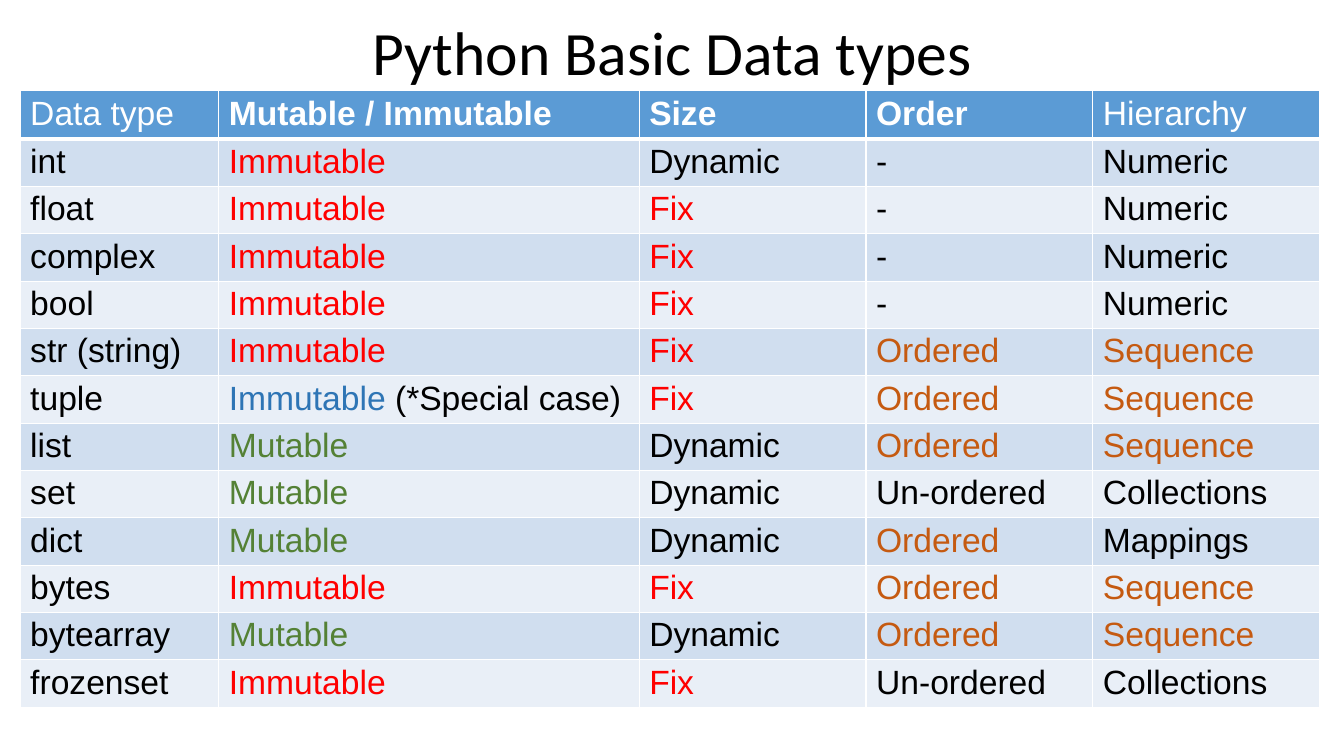
from lxml.etree import SubElement
from pptx import Presentation
from pptx.dml.color import RGBColor
from pptx.enum.text import MSO_ANCHOR, MSO_AUTO_SIZE, PP_ALIGN
from pptx.oxml.ns import qn
from pptx.util import Inches, Pt

COLORS = {
    "header": "5B9BD5", "odd": "D0DEEF", "even": "E9EFF7",
    "white": "FFFFFF", "black": "000000", "red": "FF0000",
    "green": "548135", "orange": "C55A11", "blue": "2E75B5",
}
WORD_COLORS = {
    "Immutable": "red", "Fix": "red", "Mutable": "green",
    "Ordered": "orange", "Sequence": "orange",
}
HEADERS = ["Data type", "Mutable / Immutable", "Size", "Order", "Hierarchy"]
BOLD_HEADERS = HEADERS[1:4]
SPECIAL_CASE = " (*Special case)"
DATA_TYPES = [
    ["int", "Immutable", "Dynamic", "-", "Numeric"],
    ["float", "Immutable", "Fix", "-", "Numeric"],
    ["complex", "Immutable", "Fix", "-", "Numeric"],
    ["bool", "Immutable", "Fix", "-", "Numeric"],
    ["str (string)", "Immutable", "Fix", "Ordered", "Sequence"],
    ["tuple", "Immutable" + SPECIAL_CASE, "Fix", "Ordered", "Sequence"],
    ["list", "Mutable", "Dynamic", "Ordered", "Sequence"],
    ["set", "Mutable", "Dynamic", "Un-ordered", "Collections"],
    ["dict", "Mutable", "Dynamic", "Ordered", "Mappings"],
    ["bytes", "Immutable", "Fix", "Ordered", "Sequence"],
    ["bytearray", "Mutable", "Dynamic", "Ordered", "Sequence"],
    ["frozenset", "Immutable", "Fix", "Un-ordered", "Collections"],
]
COLUMN_WIDTHS = [1.97, 4.17, 2.25, 2.25, 2.25]
HEADER_HEIGHT = 0.48
ROW_HEIGHT = 0.47


def apply_format(target, values):
    for name, value in values.items():
        setattr(target, name, value)


def add_run(paragraph, text, color, **font_values):
    run = paragraph.add_run()
    run.text = text
    apply_format(run.font, font_values)
    run.font.color.rgb = RGBColor.from_string(COLORS[color])


def add_borders(cell, top, bottom):
    properties = cell._tc.get_or_add_tcPr()
    for side, width in {"L": 1, "R": 1, "T": top, "B": bottom}.items():
        line = SubElement(properties, qn(f"a:ln{side}"), w=str(Pt(width)))
        fill = SubElement(line, qn("a:solidFill"))
        SubElement(fill, qn("a:srgbClr"), val=COLORS["white"])


def fill_cell(cell, runs, fill, top=1, bottom=1):
    add_borders(cell, top, bottom)
    cell.fill.solid()
    cell.fill.fore_color.rgb = RGBColor.from_string(COLORS[fill])
    apply_format(cell, {
        "margin_left": Inches(0.1), "margin_right": Inches(0.1),
        "margin_top": Inches(0.04), "margin_bottom": Inches(0.04),
    })
    for text, color, bold in runs:
        add_run(cell.text_frame.paragraphs[0], text, color,
                name="Arial", size=Pt(24), bold=bold)


def body_runs(text):
    if text.endswith(SPECIAL_CASE):
        return [(text.removesuffix(SPECIAL_CASE), "blue", False),
                (SPECIAL_CASE, "black", False)]
    return [(text, WORD_COLORS.get(text, "black"), False)]


def place_title(slide, left, top, width, height):
    title = slide.shapes.title
    apply_format(title, {
        "left": Inches(left), "top": Inches(top),
        "width": Inches(width), "height": Inches(height),
    })
    apply_format(title.text_frame, {
        "vertical_anchor": MSO_ANCHOR.MIDDLE, "word_wrap": True,
        "auto_size": MSO_AUTO_SIZE.NONE,
    })
    paragraph = title.text_frame.paragraphs[0]
    apply_format(paragraph, {"alignment": PP_ALIGN.CENTER, "line_spacing": 0.9})
    add_run(paragraph, "Python Basic Data types", "black", name="Calibri", size=Pt(44))


def add_data_types_table(slide, left, top):
    heights = [HEADER_HEIGHT] + [ROW_HEIGHT] * len(DATA_TYPES)
    table = slide.shapes.add_table(
        len(heights), len(HEADERS), Inches(left), Inches(top),
        Inches(sum(COLUMN_WIDTHS)), Inches(sum(heights))).table
    for column, width in zip(table.columns, COLUMN_WIDTHS):
        column.width = Inches(width)
    for row, height in zip(table.rows, heights):
        row.height = Inches(height)
    for column, text in enumerate(HEADERS):
        runs = [(text, "white", text in BOLD_HEADERS)]
        fill_cell(table.cell(0, column), runs, "header", bottom=3)
    for row, texts in enumerate(DATA_TYPES, 1):
        for column, text in enumerate(texts):
            fill_cell(table.cell(row, column), body_runs(text),
                      "odd" if row % 2 else "even", top=3 if row == 1 else 1)


def main():
    presentation = Presentation()
    apply_format(presentation, {
        "slide_width": Inches(13.33), "slide_height": Inches(7.5),
    })
    slide = presentation.slides.add_slide(presentation.slide_layouts[5])
    place_title(slide, 0.92, 0.17, 11.5, 0.77)
    add_data_types_table(slide, 0.2, 0.9)
    presentation.save("out.pptx")


if __name__ == "__main__":
    main()
